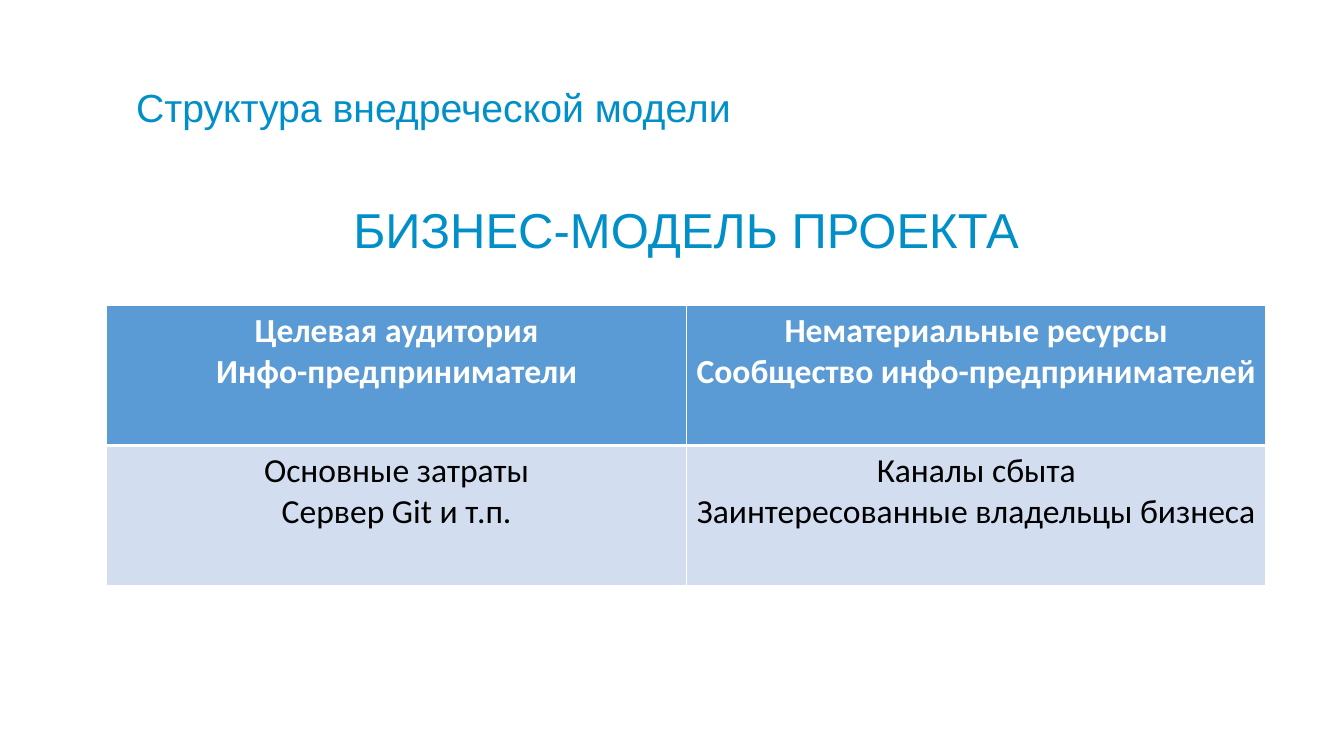
"""Builds a slide with the business model of a project in a two-by-two table."""
from lxml import etree
from pptx import Presentation
from pptx.dml.color import RGBColor
from pptx.enum.text import MSO_ANCHOR, MSO_AUTO_SIZE, PP_ALIGN
from pptx.oxml.ns import qn
from pptx.util import Pt

LEFT, CENTER = PP_ALIGN.LEFT, PP_ALIGN.CENTER
MIDDLE = MSO_ANCHOR.MIDDLE
NO_FIT = MSO_AUTO_SIZE.NONE

COLORS = {
    "heading": "008FC8",
    "header": "5B9BD5",
    "body": "D2DEEF",
    "white": "FFFFFF",
    "black": "000000",
}
ROWS = [
    ["Целевая аудитория\nИнфо-предприниматели",
     "Нематериальные ресурсы\nСообщество инфо-предпринимателей"],
    ["Основные затраты\nСервер Git и т.п.",
     "Каналы сбыта\nЗаинтересованные владельцы бизнеса"],
]


def style_text(tf, font, size, color, align, bold=False, spacing=None):
    for p in tf.paragraphs:
        p.alignment = align
        p.line_spacing = spacing
        for r in p.runs:
            r.font.name = font
            r.font.size = Pt(size)
            r.font.bold = bold
            r.font.color.rgb = RGBColor.from_string(COLORS[color])


def add_border(cell, side, width):
    ln = etree.SubElement(cell._tc.get_or_add_tcPr(), qn(f"a:ln{side}"), w=str(Pt(width)))
    fill = etree.SubElement(ln, qn("a:solidFill"))
    etree.SubElement(fill, qn("a:srgbClr"), val=COLORS["white"])


prs = Presentation()
prs.slide_width, prs.slide_height = Pt(960), Pt(540)
s = prs.slides.add_slide(prs.slide_layouts[5])

title = s.shapes.title
title.left, title.top, title.width, title.height = Pt(90), Pt(36.7), Pt(801.4), Pt(62.6)
subtitle = s.shapes.add_textbox(Pt(133.2), Pt(121.7), Pt(714.2), Pt(62.6))
for sp, text, size, align in [
    (title, "Структура внедреческой модели", 28, LEFT),
    (subtitle, "БИЗНЕС-МОДЕЛЬ ПРОЕКТА", 35, CENTER),
]:
    tf = sp.text_frame
    tf.text = text
    tf.word_wrap = True
    tf.auto_size = NO_FIT
    tf.vertical_anchor = MIDDLE
    style_text(tf, "Arial", size, "heading", align, spacing=1.5)

table = s.shapes.add_table(2, 2, Pt(76.3), Pt(218.2), Pt(828), Pt(200)).table
for i, row in enumerate(ROWS):
    table.rows[i].height = Pt(100)
    is_header = i == 0
    for j, text in enumerate(row):
        cell = table.cell(i, j)
        cell.text = text
        style_text(cell.text_frame, "Calibri", 24, "white" if is_header else "black",
                   CENTER, bold=is_header)
        for side, width in [("L", 1), ("R", 1), ("T", 1 if is_header else 3),
                            ("B", 3 if is_header else 1)]:
            add_border(cell, side, width)
        cell.fill.solid()
        cell.fill.fore_color.rgb = RGBColor.from_string(COLORS["header" if is_header else "body"])

prs.save("out.pptx")
